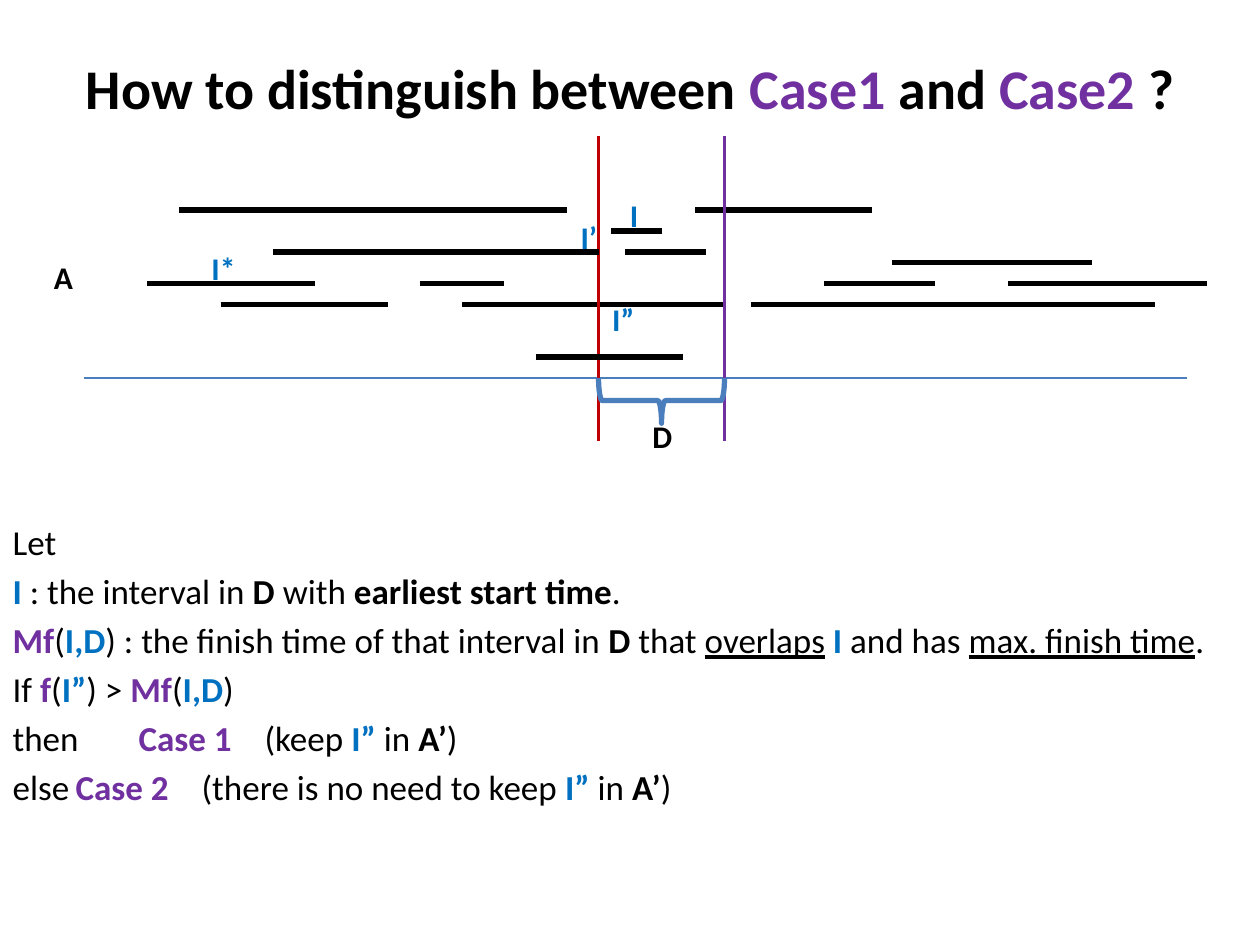
import dataclasses

import pptx
import pptx.dml.color
import pptx.enum.shapes
import pptx.enum.text
import pptx.oxml.ns
import pptx.util
from lxml import etree

Inches = pptx.util.Inches
Shapes = pptx.enum.shapes
Text = pptx.enum.text


@dataclasses.dataclass(frozen=True)
class Theme:
    font: str = "Calibri"
    black: str = "000000"
    blue: str = "0070C0"
    purple: str = "7030A0"
    red: str = "C00000"
    axis: str = "4B7EBC"
    title_size: int = 32
    body_size: int = 20
    label_size: int = 18
    axis_width: float = 1.5
    marker_width: float = 2.25
    interval_width: float = 3


@dataclasses.dataclass(frozen=True)
class Box:
    left: float
    top: float
    width: float
    height: float


THEME = Theme()

# Run styles: colour, bold, underline
PLAIN = (THEME.black, False, False)
BOLD = (THEME.black, True, False)
UNDER = (THEME.black, False, True)
BLUE = (THEME.blue, True, False)
PURPLE = (THEME.purple, True, False)

TITLE = [("How to distinguish between ", BOLD), ("Case1", PURPLE),
         (" and ", BOLD), ("Case2 ", PURPLE), ("?", BOLD)]

MAX_FINISH = [("Mf", PURPLE), ("(", PLAIN), ("I,D", BLUE)]
DEFINITIONS = [
    [("Let", PLAIN)],
    [("I ", BLUE), (": the interval in ", PLAIN), ("D ", BOLD), ("with ", PLAIN),
     ("earliest start time", BOLD), (".", PLAIN)],
    [*MAX_FINISH, (") : the finish time of that interval in ", PLAIN), ("D ", BOLD),
     ("that ", PLAIN), ("overlaps", UNDER), (" ", PLAIN), ("I", BLUE),
     (" and has ", PLAIN), ("max. finish time", UNDER), (".", PLAIN)],
    [("If ", PLAIN), ("f", PURPLE), ("(", PLAIN), ("I”", BLUE), (") > ", PLAIN),
     *MAX_FINISH, (")", PLAIN)],
    [("then\t", PLAIN), ("Case 1\t", PURPLE), ("(keep ", PLAIN), ("I” ", BLUE),
     ("in ", PLAIN), ("A’", BOLD), (")", PLAIN)],
    [("else\t", PLAIN), ("Case 2\t", PURPLE), ("(there is no need to keep ", PLAIN),
     ("I” ", BLUE), ("in ", PLAIN), ("A’", BOLD), (")", PLAIN)],
]
CASE_TABS = (0.65, 1.52)

# Intervals: start, finish, height above the axis in twelfths of an inch
LATER_INTERVALS = [(3.67, 5.75, 7), (5.52, 6.92, 16), (4.96, 5.6, 12),
                   (5.96, 9.17, 7), (6.54, 7.42, 9), (8, 9.58, 9),
                   (7.08, 8.67, 11), (4.85, 5.25, 14)]
EARLIER_INTERVALS = [(1.17, 2.5, 9), (1.75, 3.08, 7), (2.17, 4.75, 12),
                     (1.42, 4.5, 16), (3.33, 4, 9), (4.25, 5.42, 2)]
# Labels: text, style, left and top within the diagram, width
LABELS = [("I”", BLUE, 4.76, 1.25, 0.38), ("I", BLUE, 4.9, 0.43, 0.27),
          ("D", BOLD, 5.08, 2.18, 0.36), ("I’", BLUE, 4.51, 0.6, 0.33),
          ("I*", BLUE, 1.58, 0.85, 0.39), ("A", BOLD, 0.33, 0.92, 0.35)]
FIRST_FINISH, SECOND_FINISH = 4.75, 5.75


def rgb(color):
    return pptx.dml.color.RGBColor.from_string(color)


def set_values(target, values):
    for name, value in values.items():
        setattr(target, name, value)


def place(shape, box):
    set_values(shape, {name: Inches(value)
                       for name, value in dataclasses.asdict(box).items()})


def add_runs(paragraph, runs, size):
    for text, (color, bold, underline) in runs:
        run = paragraph.add_run()
        run.text = text
        set_values(run.font, {"name": THEME.font, "size": pptx.util.Pt(size),
                              "bold": bold, "underline": underline})
        run.font.color.rgb = rgb(color)


def add_line(slide, start, end, color, width):
    points = [Inches(value) for value in (*start, *end)]
    connector = slide.shapes.add_connector(Shapes.MSO_CONNECTOR.STRAIGHT, *points)
    connector.line.color.rgb = rgb(color)
    connector.line.width = pptx.util.Pt(width)
    etree.SubElement(connector._element.spPr, pptx.oxml.ns.qn("a:effectLst"))


def fill_title(shape, box):
    place(shape, box)
    set_values(shape.text_frame, {
        "vertical_anchor": Text.MSO_ANCHOR.MIDDLE, "word_wrap": True,
        "auto_size": Text.MSO_AUTO_SIZE.NONE, "margin_bottom": Inches(0.52)})
    paragraph = shape.text_frame.paragraphs[0]
    paragraph.alignment = Text.PP_ALIGN.CENTER
    add_runs(paragraph, TITLE, THEME.title_size)


def fill_definitions(shape, box):
    place(shape, box)
    frame = shape.text_frame
    # The top margin leaves room for the diagram
    set_values(frame, {"word_wrap": True, "auto_size": Text.MSO_AUTO_SIZE.NONE,
                       "margin_top": Inches(2.38)})
    for index, runs in enumerate(DEFINITIONS):
        paragraph = frame.add_paragraph() if index else frame.paragraphs[0]
        properties = paragraph._p.get_or_add_pPr()
        set_values(paragraph, {} if index else {"space_before": pptx.util.Pt(0)})
        for name in ("marL", "indent"):
            properties.set(name, "0")
        etree.SubElement(properties, pptx.oxml.ns.qn("a:buNone"))
        if any("\t" in text for text, style in runs):
            tabs = etree.SubElement(properties, pptx.oxml.ns.qn("a:tabLst"))
            for position in CASE_TABS:
                etree.SubElement(tabs, pptx.oxml.ns.qn("a:tab"),
                                 pos=str(Inches(position)), algn="l")
        add_runs(paragraph, runs, THEME.body_size)


def add_label(slide, box, text, style):
    shape = slide.shapes.add_textbox(0, 0, 0, 0)
    place(shape, box)
    set_values(shape.text_frame, {"word_wrap": False,
                                  "auto_size": Text.MSO_AUTO_SIZE.SHAPE_TO_FIT_TEXT})
    add_runs(shape.text_frame.paragraphs[0], [(text, style)], THEME.label_size)


def add_brace(slide, center_x, center_y, span, depth):
    brace = slide.shapes.add_shape(Shapes.MSO_SHAPE.RIGHT_BRACE, 0, 0, 0, 0)
    place(brace, Box(center_x - depth / 2, center_y - span / 2, depth, span))
    brace.rotation = 90
    brace.shadow.inherit = False
    brace.fill.background()
    brace.line.color.rgb = rgb(THEME.axis)
    brace.line.width = pptx.util.Pt(THEME.interval_width)


def add_diagram(slide, box):
    axis_y = box.top + 1.92

    def add_intervals(intervals):
        for start, finish, level in intervals:
            y = axis_y - level / 12
            add_line(slide, (box.left + start, y), (box.left + finish, y),
                     THEME.black, THEME.interval_width)

    # Time axis, with the later intervals behind the finish-time markers
    add_line(slide, (box.left + 0.67, axis_y), (box.left + 9.42, axis_y),
             THEME.axis, THEME.axis_width)
    add_intervals(LATER_INTERVALS)
    for finish, color in ((FIRST_FINISH, THEME.red), (SECOND_FINISH, THEME.purple)):
        x = box.left + finish
        add_line(slide, (x, box.top), (x, box.top + box.height),
                 color, THEME.marker_width)
    add_intervals(EARLIER_INTERVALS)

    # Brace marking D, then the names of the intervals and sets
    add_brace(slide, box.left + (FIRST_FINISH + SECOND_FINISH) / 2, axis_y + 0.18,
              SECOND_FINISH - FIRST_FINISH, 0.36)
    for text, style, left, top, width in LABELS:
        add_label(slide, Box(box.left + left, box.top + top, width, 0.4), text, style)


def main():
    presentation = pptx.Presentation()
    set_values(presentation, {"slide_width": Inches(10), "slide_height": Inches(7.5)})
    slide = presentation.slides.add_slide(presentation.slide_layouts[1])
    fill_title(slide.shapes.title, Box(0.5, 0.3, 9, 1.25))
    fill_definitions(slide.placeholders[1], Box(0, 1.75, 9.92, 4.95))
    add_diagram(slide, Box(0, 1.08, 10, 2.42))
    presentation.save("out.pptx")


if __name__ == "__main__":
    main()
